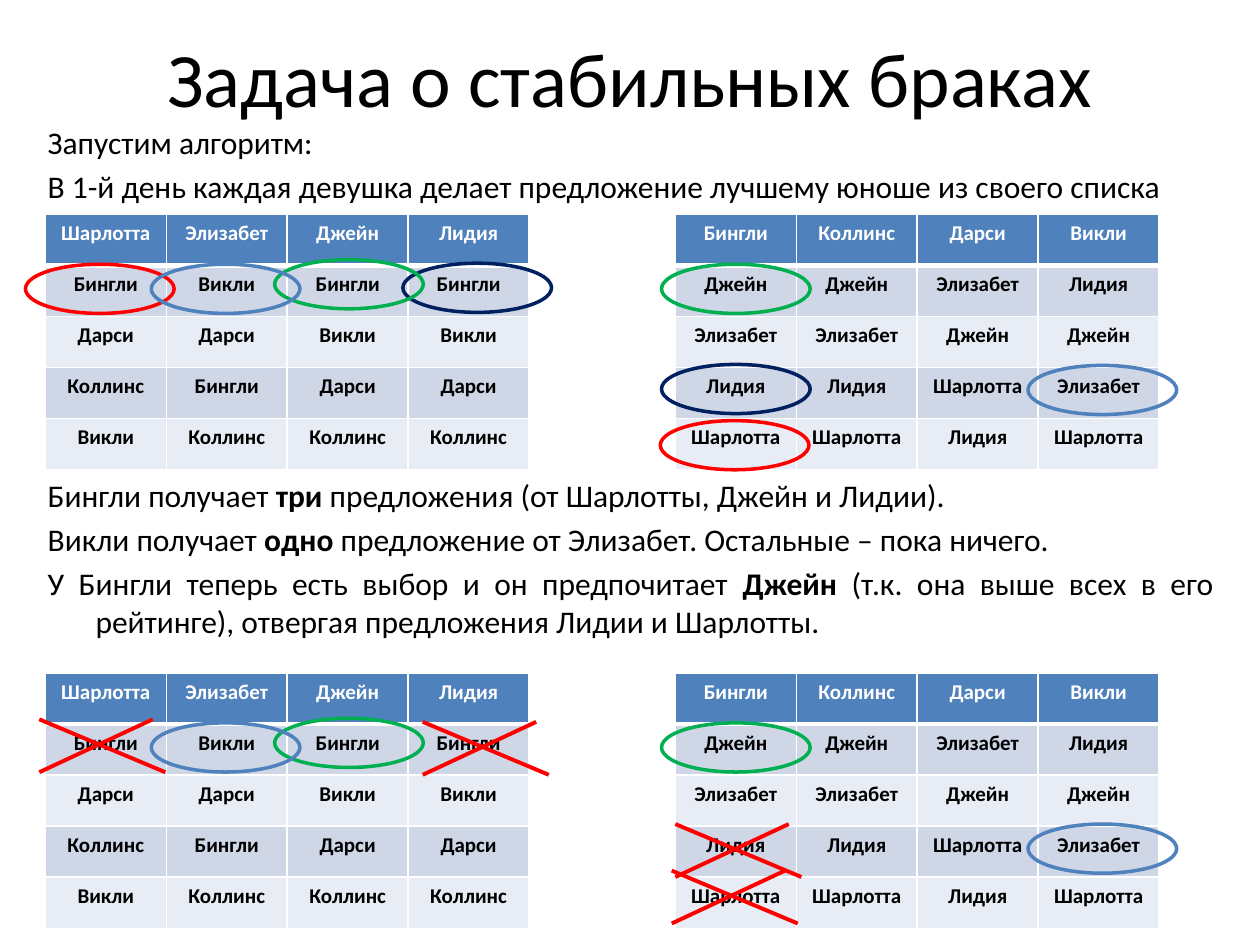
from lxml.etree import SubElement
from pptx import Presentation
from pptx.dml.color import RGBColor
from pptx.enum.shapes import MSO_CONNECTOR as CONNECTOR, MSO_SHAPE as SHAPE
from pptx.enum.text import MSO_ANCHOR as ANCHOR, PP_ALIGN as ALIGN
from pptx.oxml.ns import qn
from pptx.util import Inches, Pt

FONT = "Calibri"
BLACK, WHITE, RED, GREEN = "000000", "FFFFFF", "FF0000", "00B050"
BLUE, NAVY, ODD_ROW, EVEN_ROW = "4F81BD", "002060", "CFD7E7", "E8ECF4"
COLUMN, ROW = Inches(0.96), Pt(29.2)
OVAL_WIDTH, OVAL_HEIGHT = Inches(1.18), Inches(0.39)
CROSS_WIDTH, CROSS_SHORT, CROSS_HEIGHT = Inches(1), Inches(0.9), Inches(0.42)

GIRLS = [
    ["Шарлотта", "Элизабет", "Джейн", "Лидия"],
    ["Бингли", "Викли", "Бингли", "Бингли"],
    ["Дарси", "Дарси", "Викли", "Викли"],
    ["Коллинс", "Бингли", "Дарси", "Дарси"],
    ["Викли", "Коллинс", "Коллинс", "Коллинс"],
]
BOYS = [
    ["Бингли", "Коллинс", "Дарси", "Викли"],
    ["Джейн", "Джейн", "Элизабет", "Лидия"],
    ["Элизабет", "Элизабет", "Джейн", "Джейн"],
    ["Лидия", "Лидия", "Шарлотта", "Элизабет"],
    ["Шарлотта", "Шарлотта", "Лидия", "Шарлотта"],
]
GIRLS_KEPT = [(2.51, 1.37, GREEN), (1.49, 1.46, BLUE)]
BOYS_KEPT = [(0.5, 1.46, GREEN), (3.53, 3.44, BLUE)]
GIRLS_REFUSED = [(0.45, 1.46, RED), (3.57, 1.44, NAVY)]
BOYS_REFUSED = [(0.49, 4.52, RED), (0.5, 3.42, NAVY)]
GIRLS_CROSSES = [(-0.05, 0.91), (3.12, 0.96)]
BOYS_CROSSES = [(0, 2.96), (-0.03, 3.87)]

STORY = [
    (0, ["Запустим алгоритм:"]),
    (3.6, ["В 1-й день каждая девушка делает предложение лучшему юноше из своего списка"]),
    (154.6, ["Бингли получает ", "три", " предложения (от Шарлотты, Джейн и Лидии)."]),
    (3.6, ["Викли получает ", "одно", " предложение от Элизабет. Остальные – пока ничего."]),
    (3.6, ["У Бингли теперь есть выбор и он предпочитает ", "Джейн ",
           "(т.к. она выше всех в его рейтинге), отвергая предложения Лидии и Шарлотты."]),
]


def color(value):
    """Turn a hex string into a colour."""
    return RGBColor.from_string(value)


def style_run(run, size, value=BLACK, bold=False):
    """Format one run of text."""
    run.font.name, run.font.size, run.font.bold = FONT, Pt(size), bold
    run.font.color.rgb = color(value)


def add_title(slide, left, top, width, height):
    """Place and format the title placeholder."""
    title = slide.shapes.title
    title.left, title.top, title.width, title.height = left, top, width, height
    title.text_frame.text = "Задача о стабильных браках"
    title.text_frame.vertical_anchor = ANCHOR.MIDDLE
    paragraph = title.text_frame.paragraphs[0]
    paragraph.alignment = ALIGN.CENTER
    style_run(paragraph.runs[0], 44)


def add_story(slide, left, top, width, height):
    """Write the explanation, leaving room for the upper tables."""
    frame = slide.shapes.add_textbox(left, top, width, height).text_frame
    frame.word_wrap = True
    for index, (space, parts) in enumerate(STORY):
        paragraph = frame.add_paragraph() if index else frame.paragraphs[0]
        paragraph.alignment = ALIGN.JUSTIFY
        paragraph.space_before = Pt(space)
        properties = paragraph._p.get_or_add_pPr()
        properties.set("marL", str(Inches(0.38)))
        properties.set("indent", str(-Inches(0.38)))
        for position, text in enumerate(parts):
            run = paragraph.add_run()
            run.text = text
            style_run(run, 18, bold=position == 1)


def set_borders(cell, bottom_width):
    """Draw white borders round a cell."""
    properties = cell._tc.get_or_add_tcPr()
    for side, width in (("L", 1), ("R", 1), ("T", 1), ("B", bottom_width)):
        line = SubElement(properties, qn(f"a:ln{side}"), w=str(Pt(width)))
        fill = SubElement(line, qn("a:solidFill"))
        SubElement(fill, qn("a:srgbClr"), val=WHITE)


def add_preferences(slide, left, top, names):
    """Add a table of preferences with its header row."""
    rows, columns = len(names), len(names[0])
    table = slide.shapes.add_table(rows, columns, left, top, columns * COLUMN, rows * ROW).table
    for row, line in enumerate(names):
        for column, name in enumerate(line):
            cell = table.cell(row, column)
            set_borders(cell, 1 if row else 3)
            cell.fill.solid()
            cell.fill.fore_color.rgb = color((ODD_ROW if row % 2 else EVEN_ROW) if row else BLUE)
            cell.text_frame.text = name
            paragraph = cell.text_frame.paragraphs[0]
            paragraph.alignment = ALIGN.CENTER
            style_run(paragraph.runs[0], 12, BLACK if row else WHITE, True)


def add_ovals(slide, left, top, marks):
    """Ring names, each centred on a column and row of the table."""
    for column, row, value in marks:
        x = left + int(column * COLUMN) - OVAL_WIDTH // 2
        y = top + int(row * ROW) - OVAL_HEIGHT // 2
        oval = slide.shapes.add_shape(SHAPE.OVAL, x, y, OVAL_WIDTH, OVAL_HEIGHT)
        oval.shadow.inherit = False
        oval.fill.background()
        oval.line.color.rgb = color(value)
        oval.line.width = Pt(2)


def add_crosses(slide, left, top, corners):
    """Cross out names, starting from a column and row of the table."""
    for column, row in corners:
        x, y = left + int(column * COLUMN), top + int(row * ROW)
        bottom = y + CROSS_HEIGHT
        for start, end, width in ((y, bottom, CROSS_WIDTH), (bottom, y, CROSS_SHORT)):
            line = slide.shapes.add_connector(CONNECTOR.STRAIGHT, x, start, x + width, end)
            line.line.color.rgb = color(RED)
            line.line.width = Pt(2.25)
            SubElement(line._element.spPr, qn("a:effectLst"))


def main():
    """Build the slide and save it."""
    presentation = Presentation()
    presentation.slide_width, presentation.slide_height = Inches(10), Inches(7.5)
    slide = presentation.slides.add_slide(presentation.slide_layouts[5])
    add_title(slide, Inches(0.5), Inches(0.3), Inches(9), Inches(0.61))
    add_story(slide, Inches(0.28), Inches(0.93), Inches(9.45), Inches(6.3))
    girls_left, boys_left = Inches(0.36), Inches(5.36)
    upper, lower = Inches(1.7), Inches(5.34)
    for left, top, names, marks, crosses in (
        (girls_left, upper, GIRLS, GIRLS_REFUSED + GIRLS_KEPT, []),
        (boys_left, upper, BOYS, BOYS_REFUSED + BOYS_KEPT, []),
        (girls_left, lower, GIRLS, GIRLS_KEPT, GIRLS_CROSSES),
        (boys_left, lower, BOYS, BOYS_KEPT, BOYS_CROSSES),
    ):
        add_preferences(slide, left, top, names)
        add_ovals(slide, left, top, marks)
        add_crosses(slide, left, top, crosses)
    presentation.save("out.pptx")


if __name__ == "__main__":
    main()
